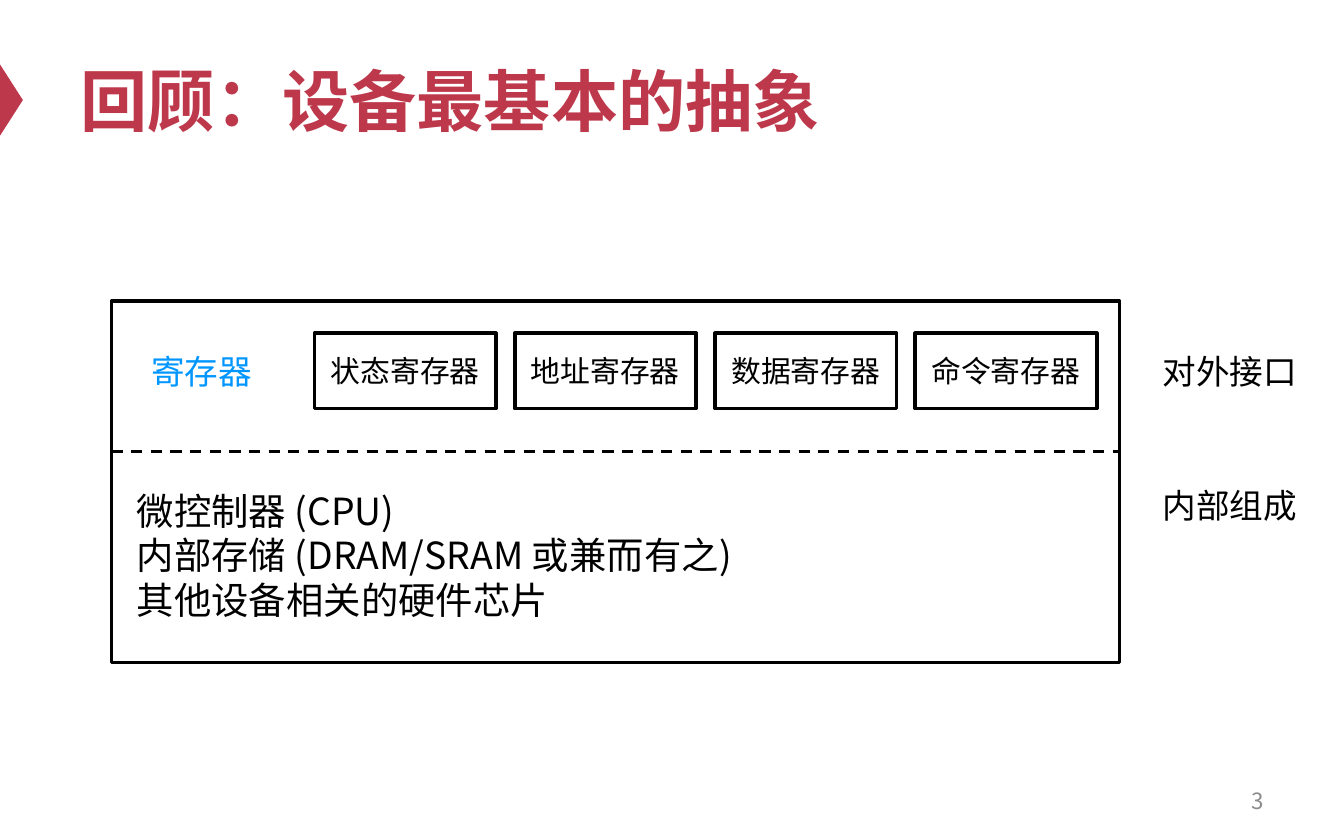
from lxml import etree
from pptx import Presentation
from pptx.dml.color import RGBColor
from pptx.enum.dml import MSO_LINE
from pptx.enum.shapes import MSO_CONNECTOR, MSO_SHAPE
from pptx.enum.text import MSO_ANCHOR, PP_ALIGN
from pptx.oxml.ns import qn
from pptx.util import Inches, Pt

RECT, TRIANGLE = MSO_SHAPE.RECTANGLE, MSO_SHAPE.ISOSCELES_TRIANGLE
LEFT, CENTER, RIGHT = PP_ALIGN.LEFT, PP_ALIGN.CENTER, PP_ALIGN.RIGHT
MIDDLE = MSO_ANCHOR.MIDDLE
STRAIGHT, DASH = MSO_CONNECTOR.STRAIGHT, MSO_LINE.DASH

FONT = "Noto Sans CJK SC"
COLORS = {"accent": "BE384B", "ink": "000000", "blue": "0096FF", "gray": "8C8C8C"}

REGISTERS = ["状态寄存器", "地址寄存器", "数据寄存器", "命令寄存器"]
INTERNALS = ["微控制器 (CPU)", "内部存储 (DRAM/SRAM 或兼而有之)", "其他设备相关的硬件芯片"]

DEVICE_X, DEVICE_Y, DEVICE_W, DEVICE_H = 0.83, 2.24, 7.5, 2.69
INTERFACE_Y, INTERNAL_Y, ROW_H = 2.48, 3.48, 0.56
REGISTER_X, REGISTER_W, REGISTER_PITCH = 2.34, 1.35, 1.49
SIDE_X, LABEL_W = 8.48, 1.34


def rgb(name):
    """Return the named colour."""
    return RGBColor.from_string(COLORS[name])


def box(*lengths):
    """Convert lengths in inches."""
    return [Inches(n) for n in lengths]


def write(s, lines, size, color="ink", align=LEFT, bold=False):
    """Fill a shape with evenly formatted, vertically centred paragraphs."""
    tf = s.text_frame
    tf.word_wrap = True
    tf.vertical_anchor = MIDDLE
    tf.text = "\n".join(lines)
    for p in tf.paragraphs:
        p.alignment = align
        p.font.size = Pt(size)
        p.font.bold = bold
        p.font.color.rgb = rgb(color)
        p.font.name = FONT
        props = p._p.pPr.find(qn("a:defRPr"))
        etree.SubElement(props, qn("a:ea"), typeface=FONT)


def add_label(slide, at, lines, size, color="ink", align=CENTER):
    """Add a text box."""
    write(slide.shapes.add_textbox(*box(*at)), lines, size, color, align)


def add_frame(slide, at):
    """Add an unfilled rectangle with a black outline."""
    s = slide.shapes.add_shape(RECT, *box(*at))
    s.shadow.inherit = False
    s.fill.background()
    s.line.color.rgb = rgb("ink")
    s.line.width = Pt(2)
    return s


def add_divider(slide, x1, x2, y):
    """Add a horizontal dashed line."""
    s = slide.shapes.add_connector(STRAIGHT, *box(x1, y, x2, y))
    s.line.color.rgb = rgb("ink")
    s.line.width = Pt(1.5)
    s.line.dash_style = DASH
    etree.SubElement(s._element.spPr, qn("a:effectLst"))


def add_title(slide, text):
    """Fill the title placeholder and add the edge marker beside it."""
    s = slide.shapes.add_shape(TRIANGLE, *box(-0.18, 0.66, 0.53, 0.17))
    s.rotation = 90
    s.shadow.inherit = False
    s.fill.solid()
    s.fill.fore_color.rgb = rgb("accent")
    s.line.fill.background()
    title = slide.shapes.title
    title.left, title.top, title.width, title.height = box(0.5, 0.25, 9, 0.98)
    write(title, [text], 36, "accent", bold=True)


def add_device(slide):
    """Draw the device with its registers above and its internals below."""
    add_frame(slide, (DEVICE_X, DEVICE_Y, DEVICE_W, DEVICE_H))
    add_divider(slide, DEVICE_X, DEVICE_X + DEVICE_W, 3.36)
    for i, name in enumerate(REGISTERS):
        x = REGISTER_X + i * REGISTER_PITCH
        s = add_frame(slide, (x, INTERFACE_Y, REGISTER_W, ROW_H))
        write(s, [name], 16, align=CENTER)
    add_label(slide, (DEVICE_X, INTERFACE_Y, LABEL_W, ROW_H), ["寄存器"], 18, "blue")
    add_label(slide, (0.92, INTERNAL_Y, 7.24, 1.3), INTERNALS, 20, align=LEFT)


def main():
    """Build and save the slide."""
    prs = Presentation()
    prs.slide_width, prs.slide_height = box(10, 6.25)
    slide = prs.slides.add_slide(prs.slide_layouts[5])
    add_title(slide, "回顾：设备最基本的抽象")
    add_device(slide)
    for text, y in (("对外接口", INTERFACE_Y), ("内部组成", INTERNAL_Y)):
        add_label(slide, (SIDE_X, y, LABEL_W, ROW_H), [text], 18)
    add_label(slide, (7.17, 5.79, 2.33, 0.33), ["3"], 12, "gray", RIGHT)
    prs.save("out.pptx")


if __name__ == "__main__":
    main()
